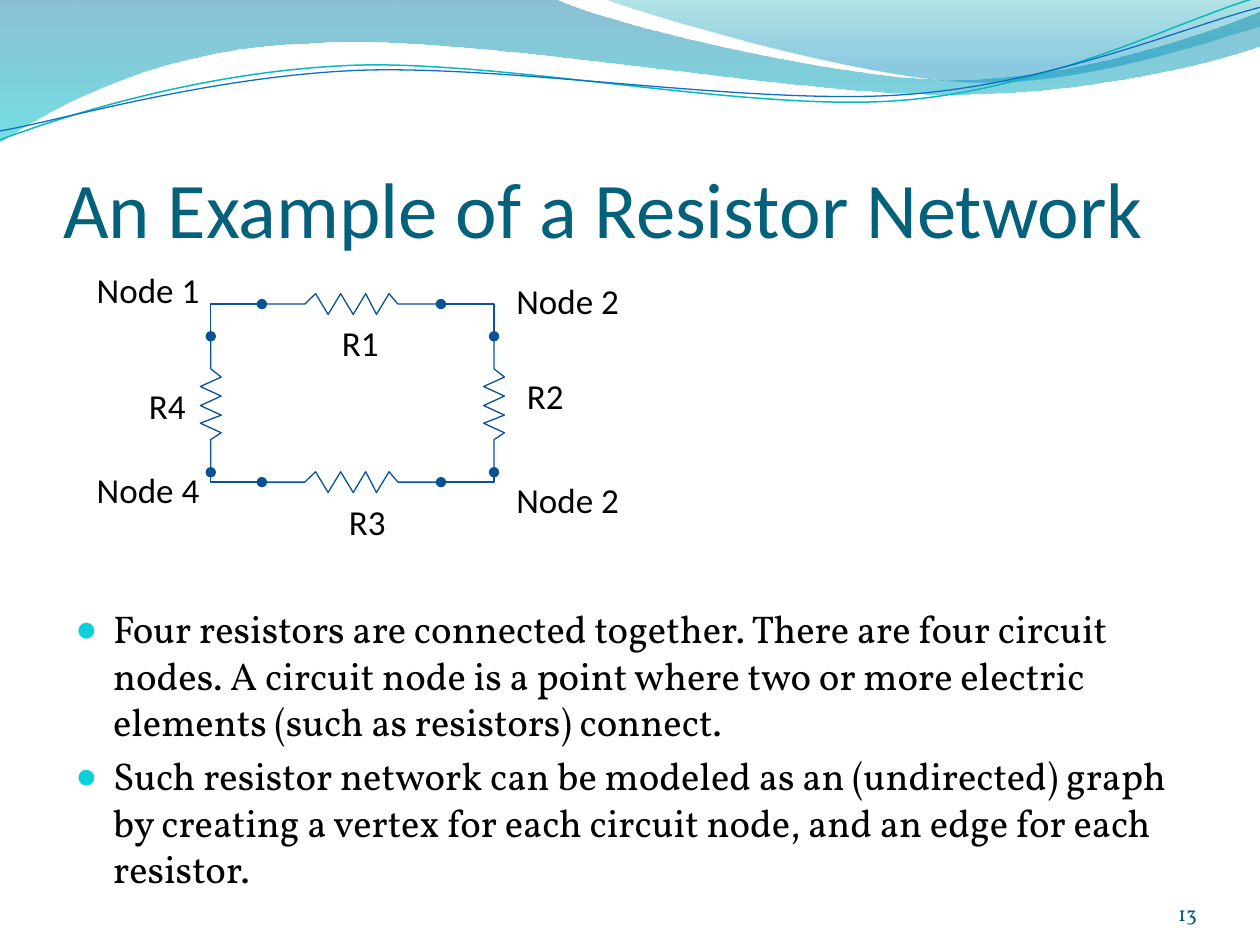
from dataclasses import dataclass

from lxml import etree
from pptx import Presentation
from pptx.dml.color import RGBColor
from pptx.enum.dml import MSO_LINE
from pptx.enum.shapes import MSO_CONNECTOR
from pptx.enum.text import MSO_ANCHOR, MSO_AUTO_SIZE, PP_ALIGN
from pptx.oxml.ns import qn
from pptx.util import Cm, Pt

ELBOW = MSO_CONNECTOR.ELBOW
SOLID = MSO_LINE.SOLID
TOP, BOTTOM = MSO_ANCHOR.TOP, MSO_ANCHOR.BOTTOM
LEFT, CENTER, RIGHT = PP_ALIGN.LEFT, PP_ALIGN.CENTER, PP_ALIGN.RIGHT
NO_FIT = MSO_AUTO_SIZE.NONE


@dataclass(frozen=True)
class Theme:
    """Fonts, colours and type sizes of the slide."""
    head_font: str = "Calibri"
    body_font: str = "Vollkorn"
    title: str = "04617B"
    text: str = "000000"
    bullet: str = "0BD0D9"
    number: str = "045D75"
    circuit: str = "095295"
    teal_line: str = "0AB8BF"
    blue_line: str = "0F6FC6"
    title_size: float = 45
    body_size: float = 22.1
    label_size: float = 20
    number_size: float = 12


WIDE_WAVE = [(0, 0), (11.18, -0.03), (12.09, 0.43, 16.87, 1.6, 19.25, 1.6),
             (21.67, 1.6, 24.33, 0.66, 25.4, 0.23), (25.43, 0.91),
             (24.97, 1.12, 22.1, 1.93, 18.95, 1.9),
             (15.8, 1.9, 9.7, 0.71, 6.53, 0.86),
             (3.25, 0.91, 1.17, 2.11, -0.03, 2.87), (0, 0)]
RIGHT_WAVE = [(12.17, -0.03), (12.93, 0.28, 17.32, 1.57, 19.53, 1.65),
              (21.74, 1.75, 24.41, 0.81, 25.4, 0.53), (25.4, 0)]
TEAL_CURVE = [(0, 2.82), (1.22, 2.36, 4.01, 1.45, 7.04, 1.32),
              (10.03, 1.19, 15.06, 2.26, 18.11, 2.03),
              (21.16, 1.8, 23.83, 0.38, 25.35, -0.05)]
BLUE_CURVE = [(0, 2.64), (1.19, 2.44, 4.17, 1.55, 7.19, 1.42),
              (10.24, 1.3, 15.16, 2.13, 18.21, 1.91),
              (21.23, 1.7, 23.9, 0.53, 25.4, 0.15)]
ZIGZAG = [(0, 0), (0.24, 0), (0.3, -1), (0.37, 1), (0.44, -1), (0.51, 1),
          (0.58, -1), (0.64, 1), (0.71, -1), (0.76, 0), (1, 0)]
AMPLITUDE = 0.21
X_LEFT, X_RIGHT, Y_TOP, Y_BOTTOM = 4.25, 9.96, 6.13, 9.72
X_START, X_END, Y_START, Y_END = 5.28, 8.89, 6.78, 9.52
LABELS = [("R1", 6.63, 6.35, 1.27), ("R2", 10.36, 7.41, 1.27),
          ("R3", 6.77, 9.95, 1.27), ("R4", 2.74, 7.62, 1.27),
          ("Node 1", 1.69, 5.28, 2.59), ("Node 2", 10.15, 5.5, 2.59),
          ("Node 2", 10.15, 9.52, 2.59), ("Node 4", 1.69, 9.31, 2.59)]
POINTS = [
    "Four resistors are connected together. There are four circuit nodes. "
    "A circuit node is a point where two or more electric elements "
    "(such as resistors) connect.",
    "Such resistor network can be modeled as an (undirected) graph by creating "
    "a vertex for each circuit node, and an edge for each resistor."]


def write(p, text, font, size, color, align=LEFT):
    """Add one formatted run to a paragraph."""
    p.alignment = align
    r = p.add_run()
    r.text = text
    r.font.name, r.font.size = font, Pt(size)
    r.font.color.rgb = RGBColor.from_string(color)


class Deck:
    """Hold the theme and the current slide."""

    def __init__(self, slide, theme):
        self.s, self.theme = slide, theme

    def outline(self, segments, close=False):
        """Draw a freeform from line ends and cubic curves in centimetres."""
        ends = [(Cm(seg[-2]), Cm(seg[-1])) for seg in segments]
        builder = self.s.shapes.build_freeform(*ends[0])
        builder.add_line_segments(ends[1:], close=close)
        sp = builder.convert_to_shape()
        sp.shadow.inherit = False
        lines = list(sp.element.iter(qn("a:lnTo")))
        for line, seg in zip(lines, segments[1:]):
            if len(seg) == 6:
                line.tag = qn("a:cubicBezTo")
                for i, (x, y) in enumerate((seg[:2], seg[2:4])):
                    pt = etree.Element(qn("a:pt"), x=str(Cm(x) - sp.left),
                                       y=str(Cm(y) - sp.top))
                    line.insert(i, pt)
        return sp

    def wave(self, segments, stops):
        """Draw a translucent band with a vertical gradient."""
        sp = self.outline(segments, close=True)
        sp.line.fill.background()
        sp.fill.gradient()
        sp.fill.gradient_angle = 270
        for stop, (pos, color, _) in zip(sp.fill.gradient_stops, stops):
            stop.position, stop.color.rgb = pos, RGBColor.from_string(color)
        for clr, (_, _, alpha) in zip(sp.element.iter(qn("a:srgbClr")), stops):
            etree.SubElement(clr, qn("a:alpha")).set("val", str(alpha * 1000))

    def stroke(self, sp, color, width=0.75):
        """Give a shape or connector a solid line."""
        sp.line.color.rgb = RGBColor.from_string(color)
        sp.line.width, sp.line.dash_style = Pt(width), SOLID

    def curve(self, segments, color, width=0.75):
        """Draw an open unfilled line."""
        sp = self.outline(segments)
        sp.fill.background()
        self.stroke(sp, color, width)
        return sp

    def resistor(self, x, y, length, vertical=False):
        """Draw a zigzag with a dot at each terminal."""
        if vertical:
            points = [(x - a * AMPLITUDE, y + t * length) for t, a in ZIGZAG]
        else:
            points = [(x + t * length, y + a * AMPLITUDE) for t, a in ZIGZAG]
        sp = self.curve(points, self.theme.circuit)
        ln = sp.element.spPr.find(qn("a:ln"))
        for end in ("a:headEnd", "a:tailEnd"):
            etree.SubElement(ln, qn(end)).set("type", "oval")

    def wire(self, x1, y1, x2, y2):
        """Join two terminals, first vertically and then horizontally."""
        cxn = self.s.shapes.add_connector(ELBOW, Cm(x1), Cm(y1), Cm(x2), Cm(y2))
        self.stroke(cxn, self.theme.circuit)
        sp_pr = cxn.element.spPr
        etree.SubElement(sp_pr, qn("a:effectLst"))
        guides = sp_pr.find(qn("a:prstGeom")).find(qn("a:avLst"))
        etree.SubElement(guides, qn("a:gd"), name="adj1", fmla="val 0")

    def frame(self, sp, box, anchor=TOP, insets=(0.25, 0.13, 0.25, 0.13), wrap=True):
        """Place a text shape and set up its frame."""
        sp.left, sp.top, sp.width, sp.height = map(Cm, box)
        tf = sp.text_frame
        tf.auto_size, tf.word_wrap, tf.vertical_anchor = NO_FIT, wrap, anchor
        tf.margin_left, tf.margin_top, tf.margin_right, tf.margin_bottom = map(Cm, insets)
        return tf

    def title(self, text):
        """Fill the title placeholder."""
        t = self.theme
        tf = self.frame(self.s.shapes.title, (1.27, 1.95, 22.86, 3.17),
                        BOTTOM, (0, 0.13, 0, 0))
        write(tf.paragraphs[0], text, t.head_font, t.title_size, t.title)

    def bullets(self, items):
        """Fill the body placeholder with a bulleted list."""
        t = self.theme
        tf = self.frame(self.s.placeholders[1], (1.27, 12.07, 22.86, 5.08))
        for i, item in enumerate(items):
            p = tf.paragraphs[0] if i == 0 else tf.add_paragraph()
            write(p, item, t.body_font, t.body_size, t.text)
            p.space_before, p.line_spacing = Pt(4.4), 1.0
            p_pr = p._p.get_or_add_pPr()
            p_pr.set("marL", str(Cm(0.76)))
            p_pr.set("indent", str(-Cm(0.76)))
            clr = etree.SubElement(p_pr, qn("a:buClr"))
            etree.SubElement(clr, qn("a:srgbClr"), val=t.bullet)
            etree.SubElement(p_pr, qn("a:buSzPct"), val="95000")
            etree.SubElement(p_pr, qn("a:buChar"), char="●")

    def text(self, text, box, font, size, color, align=CENTER, **frame):
        """Add a text box with one line."""
        tf = self.frame(self.s.shapes.add_textbox(*map(Cm, box)), box, **frame)
        write(tf.paragraphs[0], text, font, size, color, align)


def main():
    """Build and save the slide."""
    prs = Presentation()
    prs.slide_width, prs.slide_height = Cm(25.4), Cm(19.05)
    t = Theme()
    deck = Deck(prs.slides.add_slide(prs.slide_layouts[1]), t)
    deck.wave(WIDE_WAVE, [(0, "0074A1", 45), (1, "00C6CF", 55)])
    deck.wave(RIGHT_WAVE, [(0, "00A1A9", 30), (0.8, "008BBF", 45)])
    deck.curve(TEAL_CURVE, t.teal_line, 0.85)
    deck.curve(BLUE_CURVE, t.blue_line)
    deck.title("An Example of a Resistor Network")
    deck.bullets(POINTS)
    deck.text("13", (22.02, 17.65, 2.11, 1.02), t.body_font, t.number_size, t.number,
              RIGHT, anchor=BOTTOM, insets=(0, 0, 0, 0))
    for y in (Y_TOP, Y_BOTTOM):
        deck.resistor(X_START, y, X_END - X_START)
    for x in (X_RIGHT, X_LEFT):
        deck.resistor(x, Y_START, Y_END - Y_START, vertical=True)
    for x, x_terminal in ((X_LEFT, X_START), (X_RIGHT, X_END)):
        for y, y_terminal in ((Y_START, Y_TOP), (Y_END, Y_BOTTOM)):
            deck.wire(x, y, x_terminal, y_terminal)
    for text, x, y, w in LABELS:
        deck.text(text, (x, y, w, 1.12), t.head_font, t.label_size, t.text, wrap=False)
    prs.save("out.pptx")


if __name__ == "__main__":
    main()
